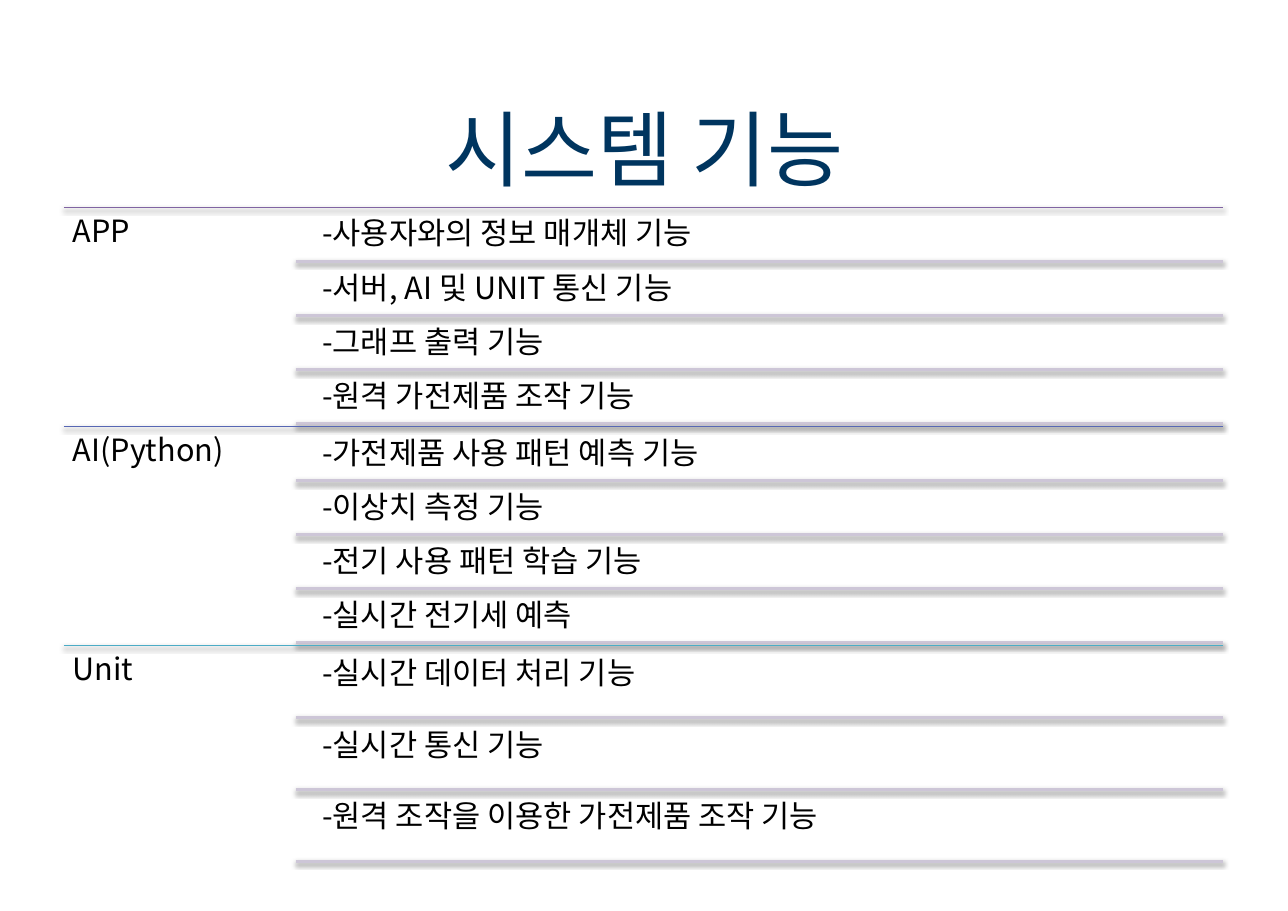
from pptx import Presentation
from pptx.dml.color import RGBColor
from pptx.enum.shapes import MSO_CONNECTOR as Connector
from pptx.enum.text import MSO_ANCHOR as Anchor, MSO_AUTO_SIZE as AutoSize, PP_ALIGN as Align
from pptx.oxml.ns import qn
from pptx.util import Inches, Pt
from lxml.etree import SubElement

FONT = "Noto Sans CJK KR"
SECTIONS = [
    ("APP", "8064A2", [
        "-사용자와의 정보 매개체 기능",
        "-서버, AI 및 UNIT 통신 기능",
        "-그래프 출력 기능",
        "-원격 가전제품 조작 기능",
    ]),
    ("AI(Python)", "5767B4", [
        "-가전제품 사용 패턴 예측 기능",
        "-이상치 측정 기능",
        "-전기 사용 패턴 학습 기능",
        "-실시간 전기세 예측",
    ]),
    ("Unit", "4BACC6", [
        "-실시간 데이터 처리 기능",
        "-실시간 통신 기능",
        "-원격 조작을 이용한 가전제품 조작 기능",
    ]),
]


def color(value):
    return RGBColor.from_string(value)


def apply(target, values):
    for name, value in values.items():
        setattr(target, name, value)


def write(frame, text, size, fill, frame_format, para_format):
    apply(frame, {"word_wrap": True, "auto_size": AutoSize.NONE, **frame_format})
    para = frame.paragraphs[0]
    apply(para, para_format)
    span = para.add_run()
    span.text = text
    apply(span.font, {"size": Pt(size), "name": FONT, "bold": False})
    span.font.color.rgb = color(fill)
    SubElement(span.font._element, qn("a:ea"), typeface=FONT)


def add_label(page, text, left, top, width, height):
    box = page.shapes.add_textbox(*map(Inches, (left, top, width, height)))
    margins = ("margin_left", "margin_top", "margin_right", "margin_bottom")
    write(box.text_frame, text, 20, "000000",
          dict.fromkeys(margins, Inches(0.08)), {"line_spacing": 0.9})


def add_rule(page, left, right, top, fill, width, distance, opacity):
    rule = page.shapes.add_connector(
        Connector.STRAIGHT, *map(Inches, (left, top, right, top)))
    rule.line.color.rgb = color(fill)
    rule.line.width = Pt(width)
    effects = SubElement(rule._element.spPr, qn("a:effectLst"))
    shadow = SubElement(effects, qn("a:outerShdw"), blurRad=str(Pt(3.1)),
                        dist=str(Pt(distance)), dir="5400000", rotWithShape="0")
    black = SubElement(shadow, qn("a:srgbClr"), val="000000")
    SubElement(black, qn("a:alpha"), val=str(opacity * 1000))


def add_title(page, text, left, top, width, height):
    title = page.shapes.title
    apply(title, {"left": Inches(left), "top": Inches(top),
                  "width": Inches(width), "height": Inches(height)})
    write(title.text_frame, text, 54, "00355F",
          {"vertical_anchor": Anchor.MIDDLE}, {"alignment": Align.CENTER})


def add_section(page, section, left, top, width, height):
    name, accent, features = section
    right = left + width
    label_width = width * 0.2
    row = height / (len(features) * 1.05 + 0.05)
    gap = row * 0.05
    text_left = left + label_width + 0.16
    add_rule(page, left, right, top, accent, 0.75, 1.8, 35)
    add_label(page, name, left, top, label_width, height)
    for index, feature in enumerate(features):
        row_top = top + gap + index * (row + gap)
        add_label(page, feature, text_left, row_top, right - text_left, row)
        add_rule(page, left + label_width, right, row_top + row, "CDC6D7", 2, 1.6, 38)


def main():
    deck = Presentation()
    apply(deck, {"slide_width": Inches(11.69), "slide_height": Inches(8.27)})
    page = deck.slides.add_slide(deck.slide_layouts[5])
    add_title(page, "시스템 기능", 2.64, 0.83, 6.42, 1.01)
    for index, section in enumerate(SECTIONS):
        add_section(page, section, 0.58, 1.88 + index * 1.99, 10.52, 1.99)
    deck.save("out.pptx")


if __name__ == "__main__":
    main()
